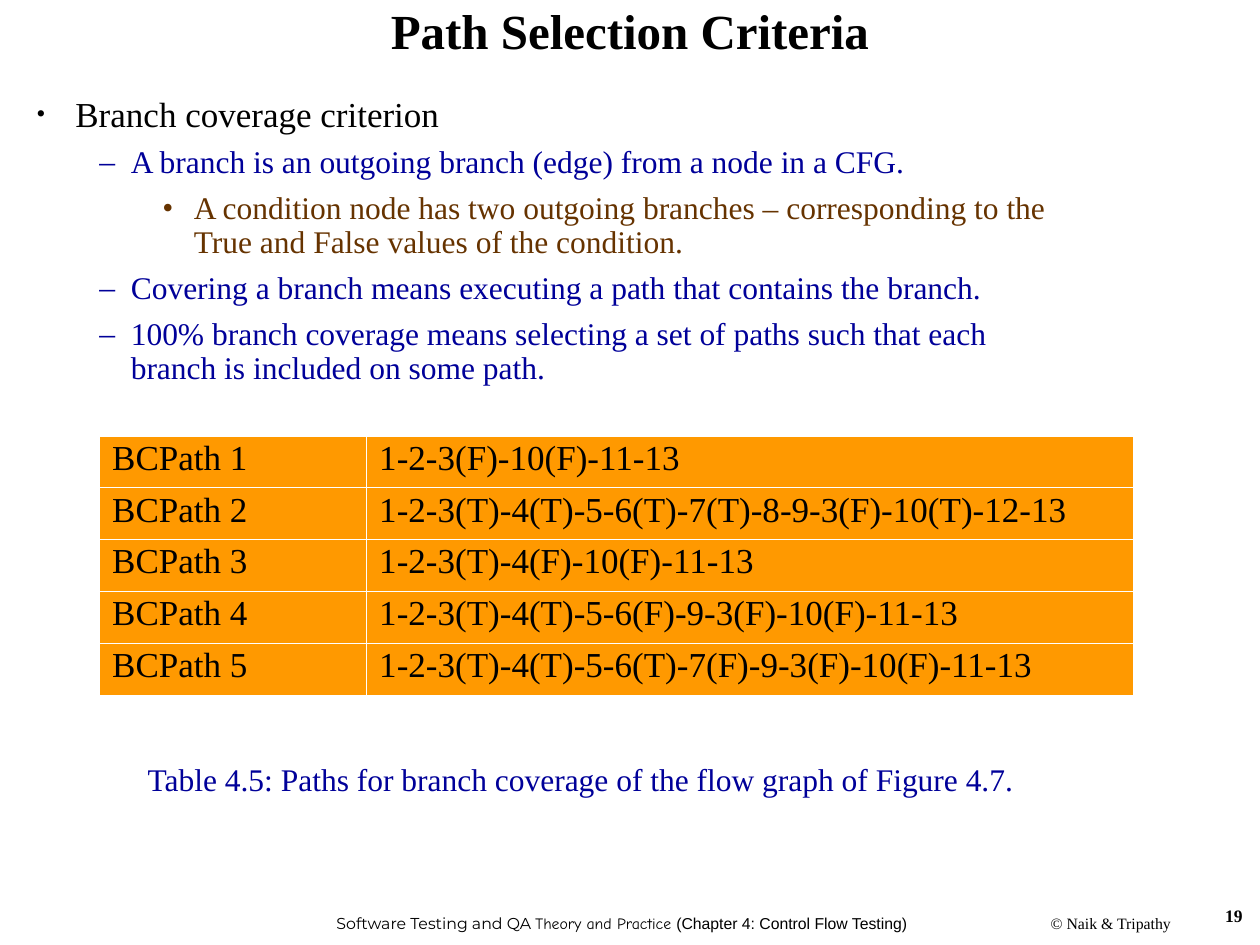
from pptx import Presentation
from pptx.dml.color import RGBColor
from pptx.enum.text import MSO_ANCHOR, PP_ALIGN
from pptx.oxml.ns import qn
from pptx.util import Inches, Pt
from lxml.etree import SubElement

SERIF = "Times New Roman"
BLACK, NAVY, BROWN = "000000", "000099", "663300"
ORANGE, WHITE = "FF9900", "FFFFFF"

POINT_STYLES = [
    {"indent": 0.31, "hanging": 0.31, "before": 7.5, "bullet": "•", "scale": 75, "size": 20, "color": BLACK},
    {"indent": 0.75, "hanging": 0.25, "before": 6.8, "bullet": "–", "scale": 100, "size": 18, "color": NAVY},
    {"indent": 1.25, "hanging": 0.25, "before": 6.8, "bullet": "•", "scale": 100, "size": 18, "color": BROWN},
]
POINTS = [
    (0, "Branch coverage criterion"),
    (1, "A branch is an outgoing branch (edge) from a node in a CFG."),
    (2, "A condition node has two outgoing branches – corresponding to the True and False values of the condition."),
    (1, "Covering a branch means executing a path that contains the branch."),
    (1, "100% branch coverage means selecting a set of paths such that each branch is included on some path."),
]
PATHS = [
    "1-2-3(F)-10(F)-11-13",
    "1-2-3(T)-4(T)-5-6(T)-7(T)-8-9-3(F)-10(T)-12-13",
    "1-2-3(T)-4(F)-10(F)-11-13",
    "1-2-3(T)-4(T)-5-6(F)-9-3(F)-10(F)-11-13",
    "1-2-3(T)-4(T)-5-6(T)-7(F)-9-3(F)-10(F)-11-13",
]


def rgb(value):
    return RGBColor.from_string(value)


def add_run(paragraph, text, size, color=BLACK, font=SERIF, bold=False):
    run = paragraph.add_run()
    run.text = text
    run.font.size = Pt(size)
    run.font.name = font
    run.font.bold = bold
    run.font.color.rgb = rgb(color)


def add_frame(slide, box, anchor=MSO_ANCHOR.TOP, wrap=True):
    frame = slide.shapes.add_textbox(*map(Inches, box)).text_frame
    frame.word_wrap = wrap
    frame.vertical_anchor = anchor
    return frame


def add_line(slide, box, runs, align=PP_ALIGN.CENTER, anchor=MSO_ANCHOR.MIDDLE, wrap=True):
    paragraph = add_frame(slide, box, anchor, wrap).paragraphs[0]
    paragraph.alignment = align
    paragraph.line_spacing = 0.9 if wrap else 1.0
    for run in runs:
        add_run(paragraph, **run)


def set_bullet(paragraph, style):
    properties = paragraph._p.get_or_add_pPr()
    properties.set("marL", str(Inches(style["indent"])))
    properties.set("indent", str(-Inches(style["hanging"])))
    color = SubElement(properties, qn("a:buClr"))
    SubElement(color, qn("a:srgbClr"), val=style["color"])
    SubElement(properties, qn("a:buSzPct"), val=str(style["scale"] * 1000))
    SubElement(properties, qn("a:buFont"), typeface=SERIF)
    SubElement(properties, qn("a:buChar"), char=style["bullet"])


def add_points(slide, box):
    frame = add_frame(slide, box)
    for number, (level, text) in enumerate(POINTS):
        paragraph = frame.add_paragraph() if number else frame.paragraphs[0]
        style = POINT_STYLES[level]
        paragraph.level = level
        paragraph.line_spacing = 0.9
        paragraph.space_before = Pt(style["before"])
        set_bullet(paragraph, style)
        add_run(paragraph, text, style["size"], style["color"])


def set_borders(cell, widths):
    properties = cell._tc.get_or_add_tcPr()
    for side, width in widths.items():
        border = SubElement(properties, qn(f"a:ln{side}"), w=str(Pt(width)))
        fill = SubElement(border, qn("a:solidFill"))
        SubElement(fill, qn("a:srgbClr"), val=WHITE)


def add_path_table(slide, box, column_widths):
    table = slide.shapes.add_table(len(PATHS), 2, *map(Inches, box)).table
    for column, width in zip(table.columns, column_widths):
        column.width = Inches(width)
    outer, inner = 1.08, 0.45
    last = len(PATHS) - 1
    for row, path_nodes in enumerate(PATHS):
        for column, text in enumerate((f"BCPath {row + 1}", path_nodes)):
            cell = table.cell(row, column)
            set_borders(cell, {
                "L": outer if column == 0 else inner,
                "R": outer if column == 1 else inner,
                "T": outer if row == 0 else inner,
                "B": outer if row == last else inner,
            })
            cell.fill.solid()
            cell.fill.fore_color.rgb = rgb(ORANGE)
            paragraph = cell.text_frame.paragraphs[0]
            paragraph.line_spacing = 0.9
            paragraph.space_before = Pt(7.5)
            add_run(paragraph, text, 20)


def add_footer(slide, book_box, authors_box, number_box):
    add_line(slide, book_box, [
        {"text": "Software Testing and QA ", "size": 9, "font": "Montserrat"},
        {"text": "Theory and Practice ", "size": 9, "font": "Comic Neue"},
        {"text": "(Chapter 4: Control Flow Testing)", "size": 9, "font": "Arial"},
    ], wrap=False)
    add_line(slide, authors_box, [{"text": "© Naik & Tripathy", "size": 9}], wrap=False)
    add_line(slide, number_box, [{"text": "19", "size": 10, "bold": True}],
             PP_ALIGN.RIGHT, MSO_ANCHOR.TOP)


def main():
    presentation = Presentation()
    presentation.slide_width = Inches(10)
    presentation.slide_height = Inches(7.5)
    slide = presentation.slides.add_slide(presentation.slide_layouts[6])
    add_footer(slide, (2.56, 7.14, 4.75, 0.38), (8.09, 7.2, 1.45, 0.25), (7.63, 7.15, 2.33, 0.52))
    add_line(slide, (0, 0, 10, 0.53), [{"text": "Path Selection Criteria", "size": 28, "bold": True}])
    add_points(slide, (0.19, 0.72, 8.34, 2.5))
    add_path_table(slide, (0.79, 3.46, 8.21, 2.06), (2.12, 6.09))
    add_line(slide, (0.69, 6.01, 7.84, 0.38), [{
        "text": "Table 4.5: Paths for branch coverage of the flow graph of Figure 4.7.",
        "size": 18, "color": NAVY,
    }])
    presentation.save("out.pptx")


if __name__ == "__main__":
    main()
